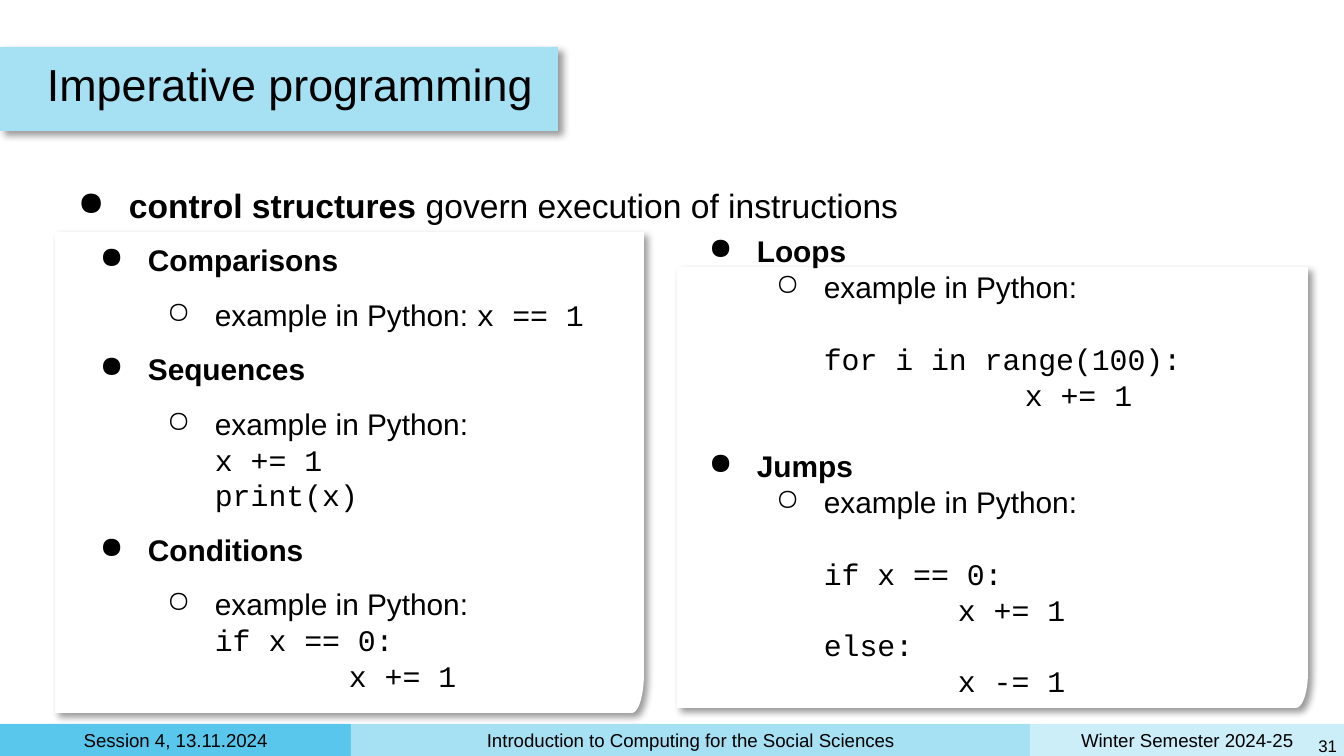
import math

import pptx
import pptx.dml.color
import pptx.enum.shapes
import pptx.enum.text
import pptx.oxml
import pptx.oxml.ns
import pptx.util

PX = 914400 / 134.4
INCH = 134
SANS, MONO = "Arial", "Courier New"
ALIGN = pptx.enum.text.PP_ALIGN
ANCHOR = pptx.enum.text.MSO_ANCHOR
LINE = 19.2


def emu(px):
    return pptx.util.Emu(round(px * PX))


def color(hex):
    return pptx.dml.color.RGBColor.from_string(hex)


def element(xml):
    """Parse one DrawingML element, given without its namespace."""
    head, rest = xml.split(" ", 1)
    return pptx.oxml.parse_xml(f"{head} {pptx.oxml.ns.nsdecls('a')} {rest}")


def write(frame, *runs, size=16, left=0, hang=0, bullet=None, before=0,
          line=None, align=ALIGN.LEFT, ink="000000"):
    """Add a paragraph; each run is a text or (text, font, bold)."""
    para = frame.paragraphs[0]
    if para.runs:
        para = frame.add_paragraph()
    para.alignment = align
    para.space_before = pptx.util.Pt(before)
    if line:
        para.line_spacing = line
    props = para._p.get_or_add_pPr()
    props.set("marL", str(emu(left)))
    props.set("indent", str(emu(-hang)))
    if bullet:
        props.append(element(f'<a:buClr ><a:srgbClr val="{ink}"/></a:buClr>'))
        props.append(element(f'<a:buChar char="{bullet}"/>'))
    for item in runs:
        text, font, bold = (item, SANS, False) if isinstance(item, str) else item
        run = para.add_run()
        run.text = text
        run.font.name = font
        run.font.bold = bold
        run.font.size = pptx.util.Pt(size)
        run.font.color.rgb = color(ink)


class Deck:
    inset = 7

    def __init__(self):
        self.file = pptx.Presentation()
        self.file.slide_width, self.file.slide_height = emu(1344), emu(756)
        self.slide = self.file.slides.add_slide(self.file.slide_layouts[6])
        self.shapes = self.slide.shapes

    def paint(self, shape, fill, shadow):
        shape.fill.solid()
        shape.fill.fore_color.rgb = color(fill)
        shape.line.fill.background()
        shape.shadow.inherit = False
        if shadow:
            effects = shape._element.spPr.find(pptx.oxml.ns.qn("a:effectLst"))
            effects.append(element(
                '<a:outerShdw blurRad="50800" dist="38100" dir="2700000" '
                'algn="tl" rotWithShape="0"><a:srgbClr val="000000">'
                '<a:alpha val="40000"/></a:srgbClr></a:outerShdw>'))

    def frame(self, shape, anchor):
        frame = shape.text_frame
        frame.word_wrap = True
        frame.vertical_anchor = anchor
        frame.margin_left = frame.margin_right = emu(self.inset)
        frame.margin_top = frame.margin_bottom = emu(self.inset)
        return frame

    def box(self, x, y, w, h, anchor=ANCHOR.TOP):
        shape = self.shapes.add_textbox(emu(x), emu(y), emu(w), emu(h))
        return self.frame(shape, anchor)

    def rect(self, x, y, w, h, fill, shadow=False):
        kind = pptx.enum.shapes.MSO_SHAPE.RECTANGLE
        shape = self.shapes.add_shape(kind, emu(x), emu(y), emu(w), emu(h))
        self.paint(shape, fill, shadow)
        return self.frame(shape, ANCHOR.MIDDLE)

    def card(self, x, y, w, h, rx, ry):
        """White panel whose lower right corner is an elliptic arc."""
        right, low = x + w, y + h
        steps = 12
        turns = [math.pi / 2 * i / steps for i in range(steps + 1)]
        arc = [(right - rx + rx * math.sin(t), low - ry + ry * math.cos(t))
               for t in turns]
        pen = self.shapes.build_freeform(emu(x), emu(low))
        pen.add_line_segments([(emu(a), emu(b)) for a, b in arc]
                              + [(emu(right), emu(y)), (emu(x), emu(y))])
        self.paint(pen.convert_to_shape(), "FFFFFF", True)

    def topic(self, frame, name, code, tail="", lead=0, gap=0, rise=0):
        """Heading, example line and code lines as (indent, text) pairs."""
        write(frame, (name, SANS, True), left=INCH // 2, hang=48, bullet="●",
              before=lead, line=pptx.util.Pt(LINE))
        example = ["example in Python:"]
        if tail:
            example = ["example in Python: ", (tail, MONO, False)]
        write(frame, *example, left=INCH, hang=48, bullet="○", before=gap,
              line=pptx.util.Pt(LINE))
        for i, (indent, text) in enumerate(code):
            write(frame, (text, MONO, False), left=INCH + indent,
                  before=0 if i else rise, line=pptx.util.Pt(LINE))


def main():
    deck = Deck()

    footer = [
        (1030, 314, "CCEEF9", "Winter Semester 2024-25"),
        (0, 351, "59C7EB", "Session 4, 13.11.2024"),
        (351, 679, "A5E0F3", "Introduction to Computing for the Social Sciences"),
    ]
    for x, w, fill, text in footer:
        bar = deck.rect(x, 724, w, 32, fill)
        write(bar, text, size=10, align=ALIGN.CENTER)
    number = deck.box(1300, 729, 44, 33, ANCHOR.MIDDLE)
    write(number, "31", size=9, align=ALIGN.RIGHT)

    lead = deck.box(55, 158, 1215, 54)
    write(lead, ("control structures", SANS, True),
          " govern execution of instructions", size=18, left=INCH // 2,
          hang=51, bullet="●", line=1.5)

    deck.rect(0, 47, 558, 84, "A5E0F3", shadow=True)
    title = deck.box(40, 47, 1170, 84, ANCHOR.MIDDLE)
    write(title, "Imperative programming", size=24, line=0.8)

    deck.card(677, 267, 631, 441, 12, 35)
    deck.card(55, 232, 589, 481, 12, 39)

    left = deck.box(74, 235, 559, 470)
    deck.topic(left, "Comparisons", [], tail="x == 1", gap=10)
    deck.topic(left, "Sequences", [(0, "x += 1"), (0, "print(x)")],
               lead=10, gap=10)
    deck.topic(left, "Conditions", [(0, "if x == 0:"), (INCH, "x += 1")],
               lead=10, gap=10)

    right = deck.box(683, 226, 610, 520)
    deck.topic(right, "Loops",
               [(0, "for i in range(100):"), (INCH * 3 // 2, "x += 1")],
               rise=LINE)
    deck.topic(right, "Jumps",
               [(0, "if x == 0:"), (INCH, "x += 1"),
                (0, "else:"), (INCH, "x -= 1")],
               lead=LINE, rise=LINE)

    deck.file.save("out.pptx")


if __name__ == "__main__":
    main()
